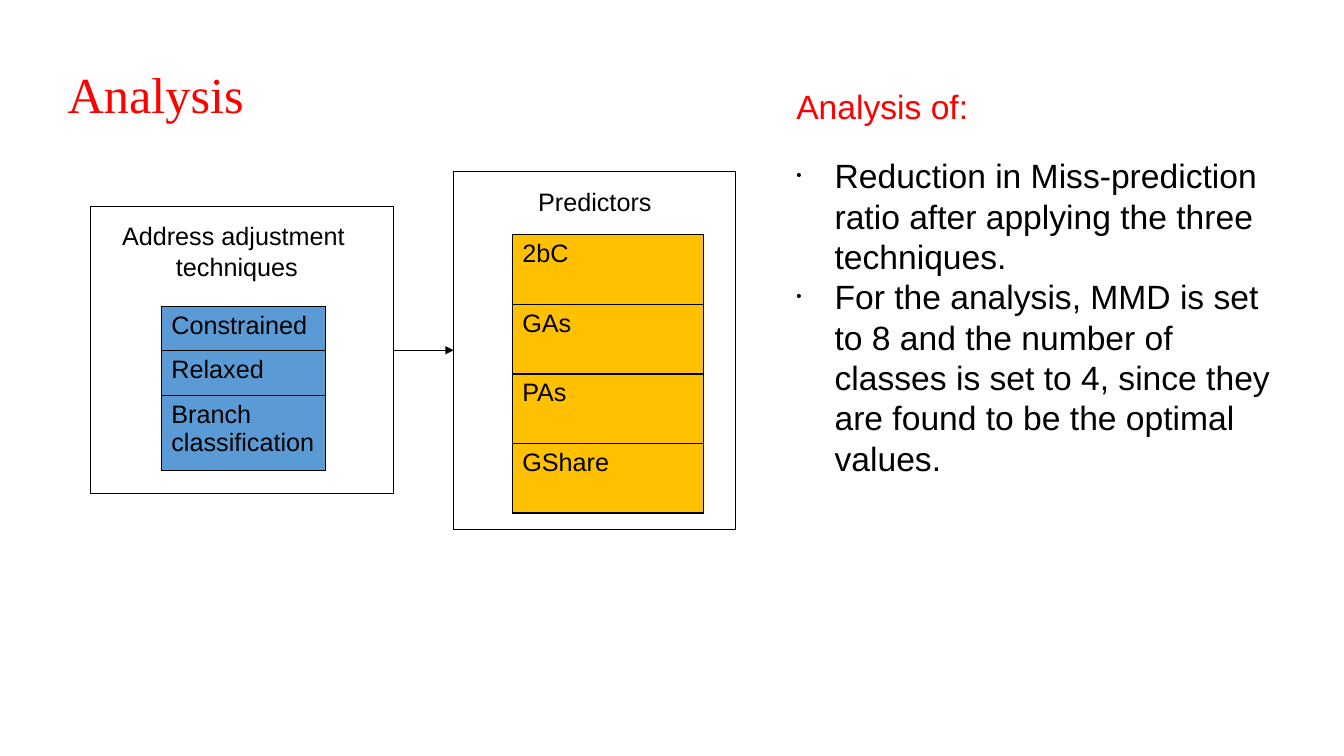
from dataclasses import dataclass

from lxml import etree
from pptx import Presentation
from pptx.dml.color import RGBColor
from pptx.enum.shapes import MSO_CONNECTOR, MSO_SHAPE
from pptx.enum.text import MSO_ANCHOR, PP_ALIGN
from pptx.oxml.ns import qn
from pptx.util import Pt

RECT = MSO_SHAPE.RECTANGLE
STRAIGHT = MSO_CONNECTOR.STRAIGHT
LEFT, CENTER = PP_ALIGN.LEFT, PP_ALIGN.CENTER
TOP, MIDDLE = MSO_ANCHOR.TOP, MSO_ANCHOR.MIDDLE
SCALE = 9144  # 100 px to the inch


@dataclass(frozen=True)
class Theme:
    red: str = "FF0000"
    black: str = "000000"
    blue: str = "5B9BD5"
    gold: str = "FFC000"
    sans: str = "Arial"
    serif: str = "Times New Roman"
    title: int = 36
    body: int = 24
    label: int = 18
    line: float = 0.75
    edge: int = 1


THEME = Theme()


def px(*nums):
    return [n * SCALE for n in nums]


def add_run(para, text, size, color=THEME.black, font=THEME.sans):
    run = para.add_run()
    run.text = text
    run.font.size = Pt(size)
    run.font.name = font
    run.font.color.rgb = RGBColor.from_string(color)


def add_box(slide, box, pad=(10, 5), anchor=TOP):
    frame = slide.shapes.add_textbox(*px(*box)).text_frame
    frame.word_wrap = True
    frame.vertical_anchor = anchor
    frame.margin_left = frame.margin_right = pad[0] * SCALE
    frame.margin_top = frame.margin_bottom = pad[1] * SCALE
    return frame


def next_para(frame, first, align=LEFT):
    para = frame.paragraphs[0] if first else frame.add_paragraph()
    para.alignment = align
    return para


def style_cell(cell, fill):
    # Borders come before the fill in the cell properties
    props = cell._tc.get_or_add_tcPr()
    for side in ("a:lnL", "a:lnR", "a:lnT", "a:lnB"):
        line = etree.SubElement(props, qn(side), w=str(Pt(THEME.edge)))
        paint = etree.SubElement(line, qn("a:solidFill"))
        etree.SubElement(paint, qn("a:srgbClr"), val=THEME.black)
    cell.fill.solid()
    cell.fill.fore_color.rgb = RGBColor.from_string(fill)


def add_stack(slide, box, names, rows, fill):
    table = slide.shapes.add_table(len(names), 1, *px(*box)).table
    table.first_row = table.horz_banding = False
    table.columns[0].width = box[2] * SCALE
    for i, (name, high) in enumerate(zip(names, rows)):
        table.rows[i].height = high * SCALE
        cell = table.cell(i, 0)
        style_cell(cell, fill)
        add_run(cell.text_frame.paragraphs[0], name, THEME.label)


def add_panel(slide, box, head, lines, stack, names, rows, fill):
    """Framed panel; head and stack are offsets from its corner."""
    left, top = box[:2]
    frame = slide.shapes.add_shape(RECT, *px(*box))
    frame.shadow.inherit = False
    frame.fill.background()
    frame.line.color.rgb = RGBColor.from_string(THEME.black)
    frame.line.width = Pt(THEME.line)
    # Heading
    text = add_box(slide, (left + head[0], top + head[1], *head[2:]))
    for i, line in enumerate(lines):
        add_run(next_para(text, i == 0, CENTER), line, THEME.label)
    # Stacked entries
    place = (left + stack[0], top + stack[1], stack[2], sum(rows))
    add_stack(slide, place, names, rows, fill)
    return frame


def add_arrow(slide, start, end):
    link = slide.shapes.add_connector(STRAIGHT, 0, 0, 0, 0)
    link.begin_connect(start, 3)
    link.end_connect(end, 1)
    link.line.color.rgb = RGBColor.from_string(THEME.black)
    link.line.width = Pt(THEME.line)
    etree.SubElement(link.line._get_or_add_ln(), qn("a:tailEnd"), type="triangle")
    etree.SubElement(link._element.spPr, qn("a:effectLst"))


def add_title(slide, box, text):
    frame = add_box(slide, box, (0, 0), MIDDLE)
    add_run(frame.paragraphs[0], text, THEME.title, THEME.red, THEME.serif)


def add_notes(slide, box, head, points):
    frame = add_box(slide, box)
    para = next_para(frame, True)
    para.space_after = Pt(21)
    add_run(para, head, THEME.body, THEME.red)
    for point in points:
        para = next_para(frame, False)
        props = para._p.get_or_add_pPr()
        props.set("marL", str(38 * SCALE))
        props.set("indent", str(-38 * SCALE))
        etree.SubElement(props, qn("a:buSzPct"), val="45000")
        etree.SubElement(props, qn("a:buFont"), typeface=THEME.sans)
        etree.SubElement(props, qn("a:buChar"), char="•")
        add_run(para, point, THEME.body)


def main():
    deck = Presentation()
    deck.slide_width, deck.slide_height = px(1333, 750)
    slide = deck.slides.add_slide(deck.slide_layouts[6])

    add_title(slide, (67, 30, 1200, 125), "Analysis")

    # Techniques feeding the predictors
    tuning = add_panel(
        slide, (90, 205, 300, 285),
        (10, 9, 270, 66), ["Address adjustment ", "techniques"],
        (70, 99, 163), ["Constrained", "Relaxed", "Branch classification"],
        [44, 44, 75], THEME.blue)
    guess = add_panel(
        slide, (450, 170, 280, 355),
        (30, 10, 220, 40), ["Predictors"],
        (58, 63, 190), ["2bC", "GAs", "PAs", "GShare"],
        [69] * 4, THEME.gold)
    add_arrow(slide, tuning, guess)

    # Findings
    add_notes(slide, (780, 80, 490, 380), "Analysis of:", [
        "Reduction in Miss-prediction ratio after applying the three techniques.",
        "For the analysis, MMD is set to 8 and the number of classes is set to 4, "
        "since they are found to be the optimal values.",
    ])

    deck.save("out.pptx")


if __name__ == "__main__":
    main()
